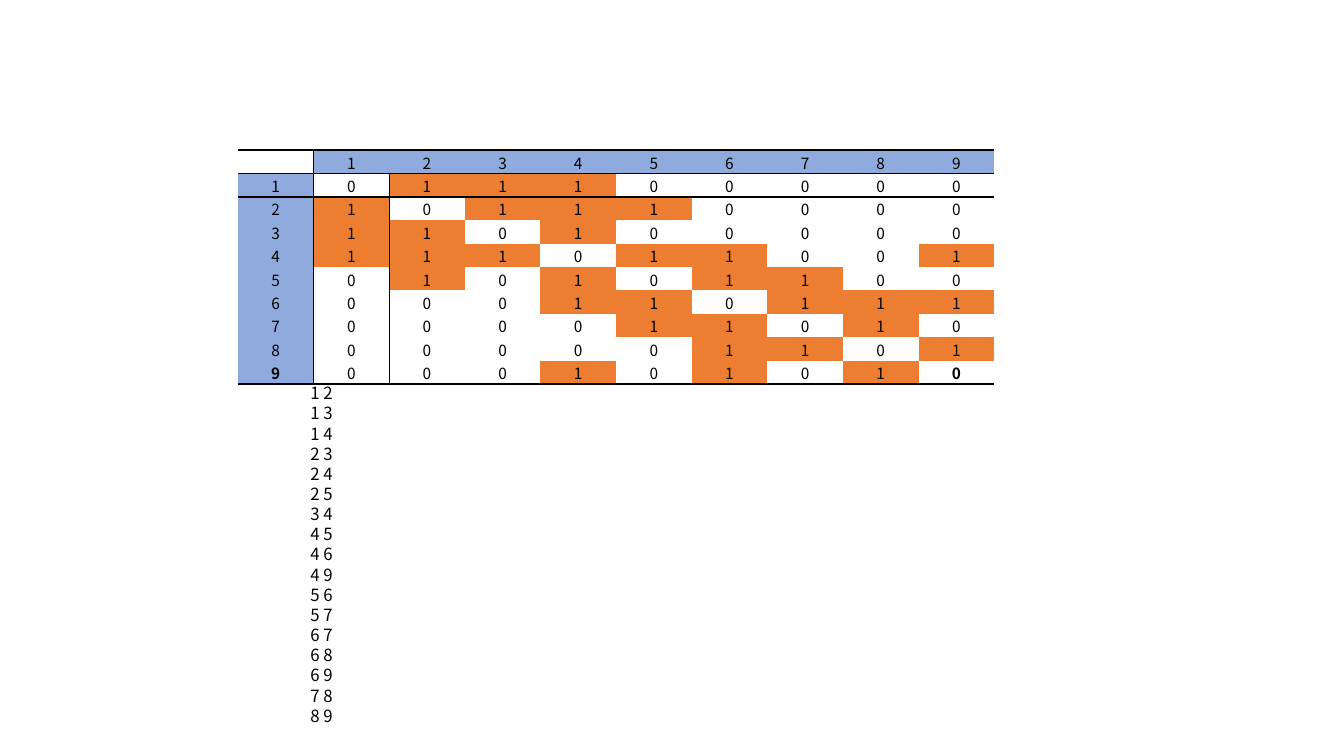
from lxml.etree import SubElement
from pptx import Presentation
from pptx.dml.color import RGBColor
from pptx.enum.text import MSO_ANCHOR, MSO_AUTO_SIZE, PP_ALIGN
from pptx.oxml.ns import qn
from pptx.util import Inches, Pt

COLORS = {"text": "000000", "header": "8FAADC", "edge": "ED7D31", "empty": "FFFFFF"}
FONT = "Noto Sans CJK SC"
NO_STYLE = "{2D5ABB26-0587-4C30-8999-92F81FD0307C}"
NODES = 9
EDGES = [(1, 2), (1, 3), (1, 4), (2, 3), (2, 4), (2, 5), (3, 4), (4, 5), (4, 6),
         (4, 9), (5, 6), (5, 7), (6, 7), (6, 8), (6, 9), (7, 8), (8, 9)]
ROW_LINES = {0: 2, 1: 1, 2: 1, NODES + 1: 2}


def add_run(p, text, size, bold=False):
    """Add one formatted run to a paragraph."""
    r = p.add_run()
    r.text = text
    r.font.name = FONT
    r.font.size = Pt(size)
    r.font.bold = bold
    r.font.color.rgb = RGBColor.from_string(COLORS["text"])


def set_borders(cell, widths):
    """Draw the cell borders, given widths in points by tag."""
    props = cell._tc.get_or_add_tcPr()
    for tag, width in widths.items():
        ln = SubElement(props, qn(f"a:{tag}"), w=str(Pt(width)))
        if width:
            fill = SubElement(ln, qn("a:solidFill"))
            SubElement(fill, qn("a:srgbClr"), val=COLORS["text"])
        else:
            SubElement(ln, qn("a:noFill"))


def cell_content(row, col):
    """Return the text and colour name of a matrix cell."""
    if row == 0 and col == 0:
        return "", "empty"
    if row == 0 or col == 0:
        return str(row + col), "header"
    linked = (min(row, col), max(row, col)) in EDGES
    return ("1", "edge") if linked else ("0", "empty")


def column_line(row, col):
    """Return the width of the line left of a cell."""
    return 1 if col == 1 or (col == 2 and row > 0) else 0


def format_cell(cell, row, col):
    """Fill, border and label one matrix cell."""
    text, color = cell_content(row, col)
    set_borders(cell, {
        "lnL": column_line(row, col),
        "lnR": column_line(row, col + 1),
        "lnT": ROW_LINES.get(row, 0),
        "lnB": ROW_LINES.get(row + 1, 0),
    })
    cell.fill.solid()
    cell.fill.fore_color.rgb = RGBColor.from_string(COLORS[color])
    cell.margin_left = cell.margin_right = cell.margin_top = Inches(0.01)
    cell.margin_bottom = 0
    cell.vertical_anchor = MSO_ANCHOR.MIDDLE
    p = cell.text_frame.paragraphs[0]
    p.alignment = PP_ALIGN.CENTER
    if text:
        add_run(p, text, 11, row == NODES and col in (0, NODES))
    else:
        SubElement(p._p, qn("a:endParaRPr"), sz="1100")


def add_matrix(s, left, top, width, height):
    """Add the adjacency matrix in the given box."""
    size = NODES + 1
    frame = s.shapes.add_table(size, size, Inches(left), Inches(top),
                               Inches(width), Inches(height))
    table = frame.table
    table.first_row = table.horz_banding = False
    table._tbl.tblPr.find(qn("a:tableStyleId")).text = NO_STYLE
    for i in range(size):
        table.columns[i].width = Inches(width / size)
        table.rows[i].height = Inches(height / size)
        for j in range(size):
            format_cell(table.cell(i, j), i, j)


def add_edge_list(s, left, top, width, height):
    """Add the list of edges, one a line, in the given box."""
    sp = s.shapes.add_textbox(Inches(left), Inches(top), Inches(width), Inches(height))
    tf = sp.text_frame
    tf.word_wrap = True
    tf.auto_size = MSO_AUTO_SIZE.SHAPE_TO_FIT_TEXT
    for i, (start, end) in enumerate(EDGES):
        p = tf.add_paragraph() if i else tf.paragraphs[0]
        p.line_spacing = Pt(14.4)
        add_run(p, f"{start} {end}", 12)


def main():
    """Build the slide and save it."""
    prs = Presentation()
    prs.slide_width, prs.slide_height = Inches(13.33), Inches(7.5)
    s = prs.slides.add_slide(prs.slide_layouts[6])
    add_matrix(s, 2.36, 1.49, 7.5, 2)
    add_edge_list(s, 2.98, 3.75, 4.31, 3.53)
    prs.save("out.pptx")


if __name__ == "__main__":
    main()
